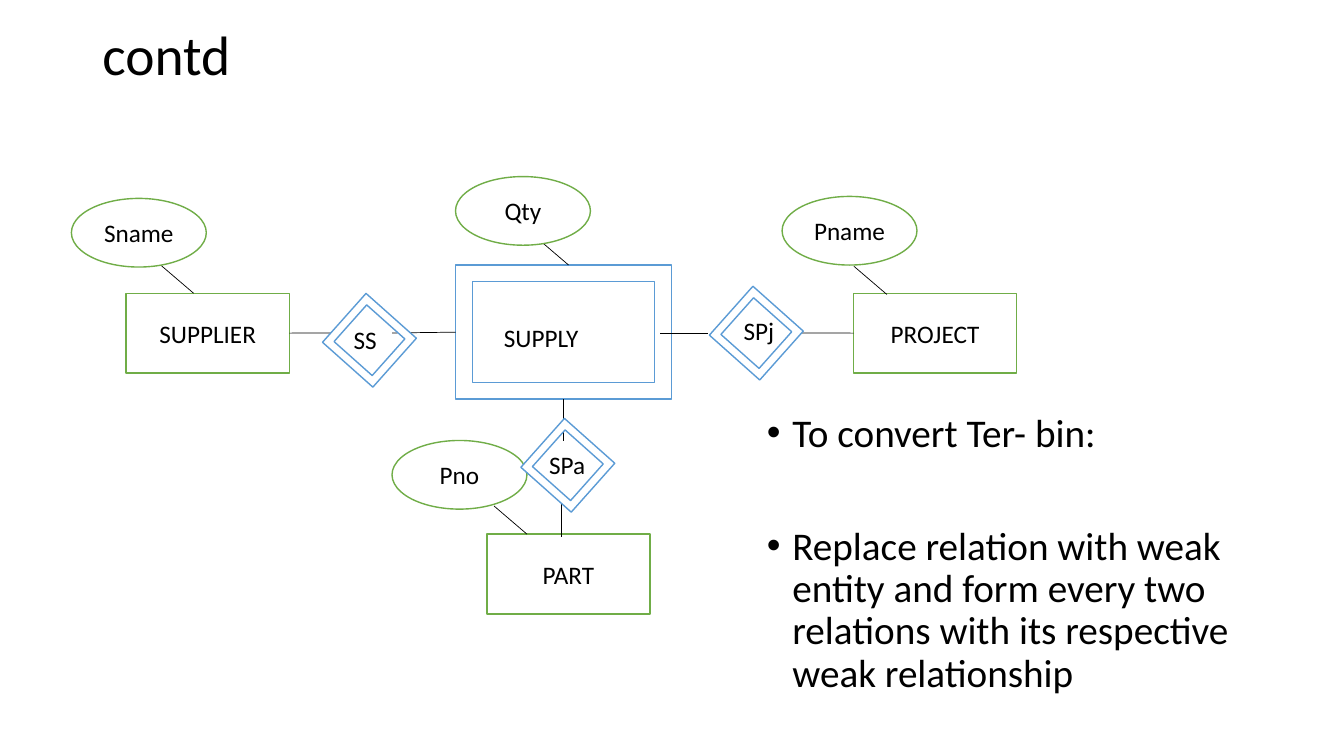
from lxml.etree import SubElement
from pptx import Presentation
from pptx.dml.color import RGBColor
from pptx.enum.shapes import MSO_CONNECTOR, MSO_SHAPE
from pptx.enum.text import MSO_ANCHOR, PP_ALIGN
from pptx.oxml.ns import qn
from pptx.util import Cm, Pt

BLACK = RGBColor(0x00, 0x00, 0x00)
WHITE = RGBColor(0xFF, 0xFF, 0xFF)
GREEN = RGBColor(0x70, 0xAD, 0x47)
BLUE = RGBColor(0x5B, 0x9B, 0xD5)
FONT = "Calibri"
TOP, LEFT, BOTTOM, RIGHT = range(4)

# All lengths below are in centimetres, relative to the diagram's corner
ENTITY_SIZE = (4.11, 2.01)
ENTITIES = {"SUPPLIER": (1.38, 2.94), "PROJECT": (19.71, 2.94), "PART": (10.47, 9.01)}
WEAK_ENTITY_BOX = (9.68, 2.23, 5.44, 3.38)
ATTRIBUTE_SIZE = (3.4, 1.73)
LINK_RUN, LINK_RISE = 0.83, 0.71
# Attribute: its corner, then the point where its link meets the entity
ATTRIBUTES = {
    "Sname": (0, 0.55, 3.08, 2.94),
    "Qty": (9.68, 0, 12.53, 2.23),
    "Pname": (17.91, 0.5, 20.55, 2.97),
    "Pno": (8.08, 6.65, 11.48, 9.01),
}
RELATION_SIZE = (1.7, 1.65)
# Relationship: its corner, then the offset of its label
RELATIONS = {
    "SPj": (16.41, 3.12, 0.28, 0.25),
    "SPa": (11.66, 6.45, 0.13, 0.3),
    "SS": (6.66, 3.3, 0.2, 0.3),
}
AXIS = 3.94


def format_text(paragraph, size):
    font = paragraph.font
    font.name, font.size, font.color.rgb = FONT, Pt(size), BLACK


def add_text(slide, box, text, size):
    text_box = slide.shapes.add_textbox(*(Cm(length) for length in box))
    frame = text_box.text_frame
    frame.word_wrap = True
    frame.text = text
    format_text(frame.paragraphs[0], size)
    return frame


def add_outlined(slide, kind, box, color, text=""):
    shape = slide.shapes.add_shape(kind, *(Cm(length) for length in box))
    shape.shadow.inherit = False
    shape.fill.solid()
    shape.fill.fore_color.rgb = WHITE
    shape.line.color.rgb = color
    shape.line.width = Pt(1)
    if text:
        frame = shape.text_frame
        frame.text = text
        frame.vertical_anchor = MSO_ANCHOR.MIDDLE
        frame.paragraphs[0].alignment = PP_ALIGN.CENTER
        format_text(frame.paragraphs[0], 18)
    return shape


def add_line(slide, start, end):
    connector = slide.shapes.add_connector(
        MSO_CONNECTOR.STRAIGHT, *(Cm(length) for length in (*start, *end)))
    connector.line.color.rgb = BLACK
    connector.line.width = Pt(0.5)
    SubElement(connector._element.spPr, qn("a:effectLst"))
    return connector


def add_title(slide, box, text):
    frame = add_text(slide, box, text, 39.6)
    frame.vertical_anchor = MSO_ANCHOR.MIDDLE
    frame.paragraphs[0].line_spacing = 0.9


def add_bullets(slide, box, lines, gap):
    frame = add_text(slide, box, lines[0], 28)
    for index, line in enumerate(lines):
        paragraph = frame.add_paragraph() if index else frame.paragraphs[0]
        paragraph.text = line
        paragraph.line_spacing = 0.9
        paragraph.space_before = Pt(gap if index else 0)
        properties = paragraph._p.get_or_add_pPr()
        properties.set("marL", str(Cm(0.64)))
        properties.set("indent", str(-Cm(0.64)))
        SubElement(properties, qn("a:buFont"), typeface="Arial")
        SubElement(properties, qn("a:buChar"), char="•")
        for run in paragraph.runs:
            format_text(run, 28)


def add_diagram(slide, left, top):
    def at(x, y):
        return left + x, top + y

    # Entities, with the weak entity as a double frame
    entities = {name: add_outlined(slide, MSO_SHAPE.RECTANGLE,
                                   (*at(*corner), *ENTITY_SIZE), GREEN, name)
                for name, corner in ENTITIES.items()}
    x, y, width, height = WEAK_ENTITY_BOX
    supply = add_outlined(slide, MSO_SHAPE.FRAME, (*at(x, y), width, height), BLUE)
    add_text(slide, (*at(x + 0.97, y + 1.32), 3.12, 1.02), "SUPPLY", 18)

    # Links joined to the middle of a side, each with its free end
    for shape, side, free_end in (
        (entities["SUPPLIER"], RIGHT, (6.66, AXIS)),
        (supply, LEFT, (8.08, AXIS)),
        (supply, BOTTOM, (12.4, 6.65)),
        (entities["PROJECT"], LEFT, (18.32, AXIS)),
    ):
        add_line(slide, at(*free_end), at(*free_end)).end_connect(shape, side)

    # Links with two free ends
    add_line(slide, at(14.84, AXIS), at(16.03, AXIS))
    add_line(slide, at(12.35, 8.07), at(12.35, 9.09))

    # Attributes, each with a slanted link
    for name, (x, y, tip_x, tip_y) in ATTRIBUTES.items():
        add_line(slide, at(tip_x - LINK_RUN, tip_y - LINK_RISE), at(tip_x, tip_y))
        add_outlined(slide, MSO_SHAPE.OVAL, (*at(x, y), *ATTRIBUTE_SIZE), GREEN, name)

    # Weak relationships as turned frames
    for name, (x, y, label_x, label_y) in RELATIONS.items():
        diamond = add_outlined(slide, MSO_SHAPE.FRAME, (*at(x, y), *RELATION_SIZE), BLUE)
        diamond.rotation = 41.7
        add_text(slide, (*at(x + label_x, y + label_y), 1.6, 1.02), name, 18)


def main():
    presentation = Presentation()
    presentation.slide_width, presentation.slide_height = Cm(33.87), Cm(19.05)
    slide = presentation.slides.add_slide(presentation.slide_layouts[6])
    add_title(slide, (2.33, 1.01, 29.21, 0.9), "contd")
    add_bullets(slide, (19.08, 10.29, 13.69, 8.46), (
        "To convert Ter- bin:",
        "Replace relation with weak entity and form every two relations "
        "with its respective weak relationship",
    ), gap=50.5)
    add_diagram(slide, 1.8, 4.45)
    presentation.save("out.pptx")


if __name__ == "__main__":
    main()
